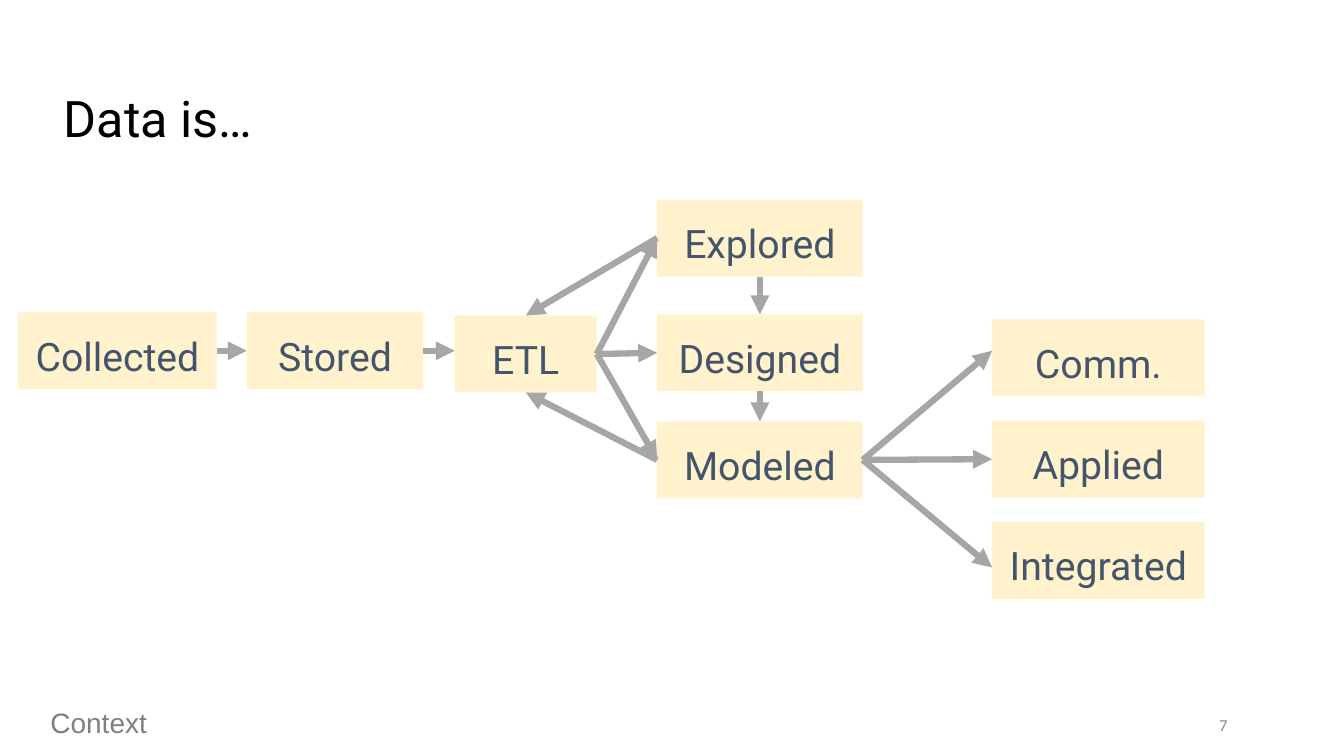
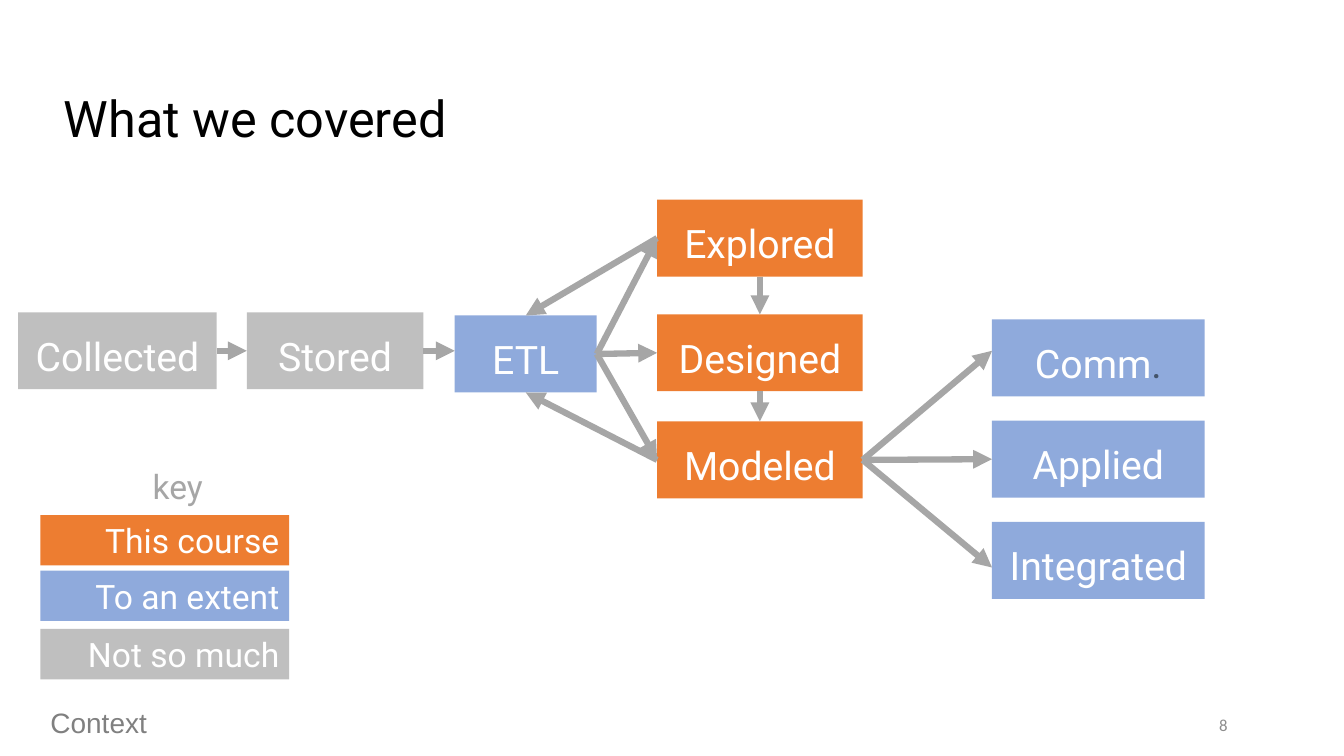
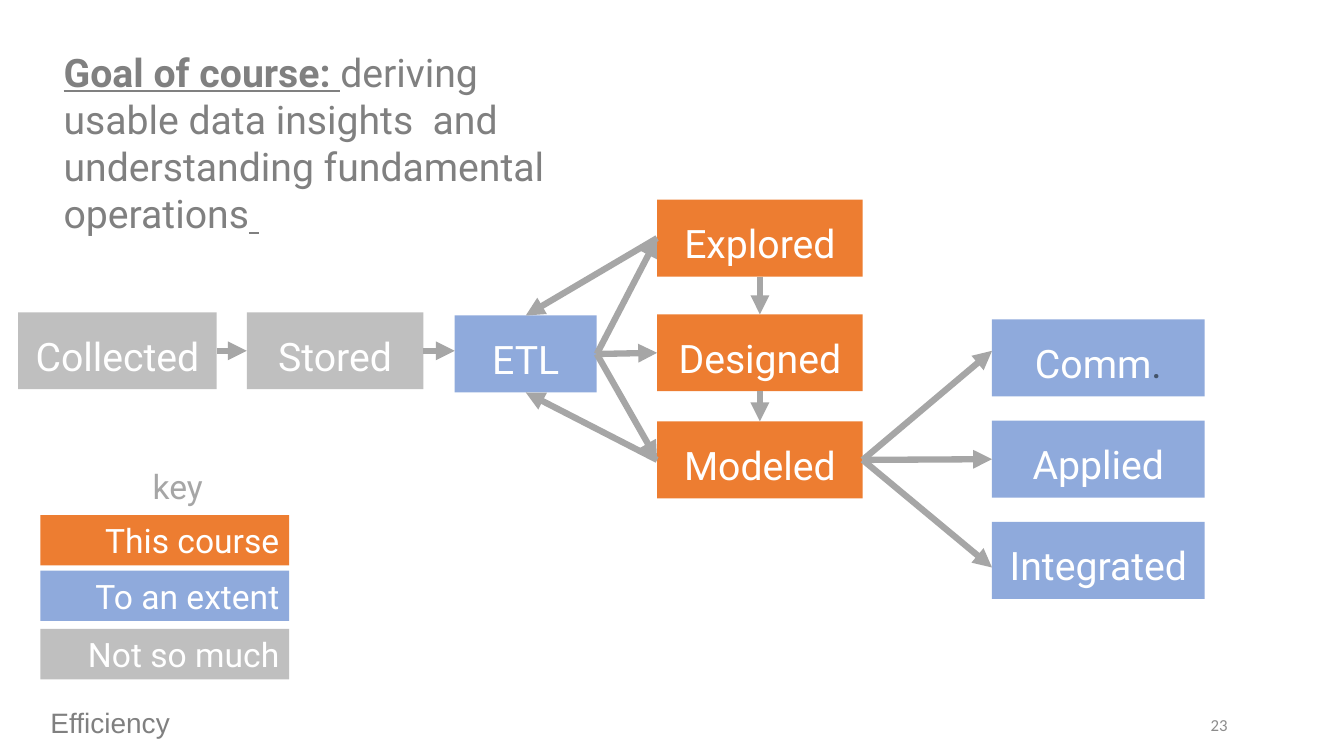
from lxml.etree import SubElement
from pptx import Presentation
from pptx.dml.color import RGBColor
from pptx.enum.shapes import MSO_CONNECTOR, MSO_SHAPE
from pptx.enum.text import MSO_ANCHOR, MSO_AUTO_SIZE, PP_ALIGN
from pptx.oxml.ns import qn
from pptx.util import Cm, Pt

BLACK, WHITE, SLATE, CREAM = "000000", "FFFFFF", "44546A", "FFF2CC"
ORANGE, BLUE, SILVER = "ED7D31", "8FAADC", "BFBFBF"
ARROW_GRAY, TEXT_GRAY, PAGE_GRAY = "A6A6A6", "808080", "8C8C8C"

TITLE_FONT = {"name": "Roboto", "size": Pt(36)}
STAGE_FONT = {"name": "Roboto", "size": Pt(28)}
KEY_FONT = {"name": "Roboto", "size": Pt(24)}
FOOTER_FONT = {"name": "Arial", "size": Pt(20)}
PAGE_FONT = {"name": "Calibri", "size": Pt(12)}

TOP, LEFT, BOTTOM, RIGHT = range(4)
STAGE_HEIGHT = 1.94
OUTCOME_TOP, OUTCOME_STEP = 8.05, 2.55

# stage: left, top, width in cm, and how far the course covers it
STAGES = {
    "Collected": (0.46, 7.87, 5, SILVER),
    "Stored": (6.22, 7.87, 4.45, SILVER),
    "ETL": (11.46, 7.95, 3.58, BLUE),
    "Explored": (16.56, 5.03, 5.18, ORANGE),
    "Designed": (16.56, 7.92, 5.18, ORANGE),
    "Modeled": (16.56, 10.62, 5.18, ORANGE),
}
STAGES.update({
    outcome: (25, OUTCOME_TOP + row * OUTCOME_STEP, 5.36, BLUE)
    for row, outcome in enumerate(("Comm.", "Applied", "Integrated"))
})

# from stage and side, to stage and side, cm that the tip lies below the middle
FLOWS = [
    ("Collected", RIGHT, "Stored", LEFT, 0),
    ("Stored", RIGHT, "ETL", LEFT, -0.08),
    ("ETL", RIGHT, "Explored", LEFT, 0),
    ("ETL", RIGHT, "Designed", LEFT, 0),
    ("ETL", RIGHT, "Modeled", LEFT, 0),
    ("Modeled", RIGHT, "Comm.", LEFT, -0.18),
    ("Modeled", RIGHT, "Applied", LEFT, 0),
    ("Modeled", RIGHT, "Integrated", LEFT, 0.18),
    ("Explored", LEFT, "ETL", TOP, 0),
    ("Explored", BOTTOM, "Designed", TOP, 0),
    ("Designed", BOTTOM, "Modeled", TOP, 0),
    ("Modeled", LEFT, "ETL", BOTTOM, 0),
]

KEY = [
    ("This course", 12.98, ORANGE),
    ("To an extent", 14.38, BLUE),
    ("Not so much", 15.85, SILVER),
]


def rgb(color):
    return RGBColor.from_string(color)


def set_all(target, values):
    for attribute, value in values.items():
        setattr(target, attribute, value)


def write(shape, paragraphs, font, color, align=PP_ALIGN.LEFT,
          anchor=MSO_ANCHOR.TOP, line_spacing=None):
    """Fill a shape with paragraphs, each a list of (text, font changes)."""
    frame = shape.text_frame
    set_all(frame, {"word_wrap": True, "auto_size": MSO_AUTO_SIZE.NONE,
                    "vertical_anchor": anchor})
    for index, pieces in enumerate(paragraphs):
        paragraph = frame.add_paragraph() if index else frame.paragraphs[0]
        set_all(paragraph, {"alignment": align, "line_spacing": line_spacing})
        for text, changes in pieces:
            run = paragraph.add_run()
            run.text = text
            format_values = {**font, **changes}
            run.font.color.rgb = rgb(format_values.pop("color", color))
            set_all(run.font, format_values)


def add_label(slide, text, left, top, width, height, font, color, **layout):
    label = slide.shapes.add_textbox(Cm(left), Cm(top), Cm(width), Cm(height))
    write(label, [[(text, {})]], font, color, **layout)


def add_block(slide, left, top, width, height, fill):
    block = slide.shapes.add_shape(MSO_SHAPE.RECTANGLE, Cm(left), Cm(top),
                                   Cm(width), Cm(height))
    block.shadow.inherit = False
    block.fill.solid()
    block.fill.fore_color.rgb = rgb(fill)
    block.line.fill.background()
    return block


def side_middle(block, side):
    x = {LEFT: 0, RIGHT: block.width}.get(side, block.width // 2)
    y = {TOP: 0, BOTTOM: block.height}.get(side, block.height // 2)
    return block.left + x, block.top + y


def add_arrow(slide, source, source_side, target, target_side, drop):
    tip_x, tip_y = side_middle(target, target_side)
    arrow = slide.shapes.add_connector(
        MSO_CONNECTOR.STRAIGHT, *side_middle(source, source_side),
        tip_x, tip_y + Cm(drop))
    arrow.begin_connect(source, source_side)
    if not drop:
        arrow.end_connect(target, target_side)
    arrow.line.color.rgb = rgb(ARROW_GRAY)
    arrow.line.width = Pt(4.5)
    SubElement(arrow.line._get_or_add_ln(), qn("a:tailEnd"), type="triangle")
    SubElement(arrow._element.spPr, qn("a:effectLst"))


def add_pipeline(slide, show_coverage):
    blocks = {}
    for stage, (left, top, width, coverage) in STAGES.items():
        fill, ink = (coverage, WHITE) if show_coverage else (CREAM, SLATE)
        block = add_block(slide, left, top, width, STAGE_HEIGHT, fill)
        word, dot, _ = stage.partition(".")
        pieces = [(word, {})] + ([(dot, {"color": SLATE})] if dot else [])
        write(block, [pieces], STAGE_FONT, ink, align=PP_ALIGN.CENTER,
              anchor=MSO_ANCHOR.MIDDLE, line_spacing=1.2)
        blocks[stage] = block
    for source, source_side, target, target_side, drop in FLOWS:
        add_arrow(slide, blocks[source], source_side,
                  blocks[target], target_side, drop)


def add_key(slide):
    add_label(slide, "key", 1.02, 11.61, 6.92, 1.27, KEY_FONT, ARROW_GRAY,
              align=PP_ALIGN.CENTER)
    for meaning, top, fill in KEY:
        entry = add_block(slide, 1.02, top, 6.27, 1.27, fill)
        write(entry, [[(meaning, {})]], KEY_FONT, WHITE, align=PP_ALIGN.RIGHT)


def add_slide(deck, section, page, title, top=2.06, height=1.8,
              font=TITLE_FONT, color=BLACK):
    """Add a slide with the shared title, section footer and page number."""
    slide = deck.slides.add_slide(deck.slide_layouts[5])
    heading = slide.shapes.title
    set_all(heading, {"left": Cm(1.35), "top": Cm(top),
                      "width": Cm(13.46), "height": Cm(height)})
    write(heading, title, font, color)
    add_label(slide, section, 1.02, 17.65, 22, 1.12, FOOTER_FONT, TEXT_GRAY)
    add_label(slide, page, 23.57, 17.75, 7.62, 1.02, PAGE_FONT, PAGE_GRAY,
              align=PP_ALIGN.RIGHT, anchor=MSO_ANCHOR.MIDDLE)
    return slide


def main():
    deck = Presentation()
    set_all(deck, {"slide_width": Cm(33.87), "slide_height": Cm(19.05)})

    stages = add_slide(deck, "Context", "7", [[("Data is…", {})]])
    add_pipeline(stages, show_coverage=False)

    covered = add_slide(deck, "Context", "8", [[("What we covered", {})]])
    goal_text = [
        [("Goal of course: ", {"bold": True, "underline": True}),
         ("deriving", {})],
        [("usable data insights  and understanding fundamental operations", {}),
         (" ", {"underline": True})],
    ]
    goal = add_slide(deck, "Efficiency", "23", goal_text, top=1.09,
                     height=5.05, font=STAGE_FONT, color=TEXT_GRAY)
    for slide in (covered, goal):
        add_pipeline(slide, show_coverage=True)
        add_key(slide)

    deck.save("out.pptx")


if __name__ == "__main__":
    main()
